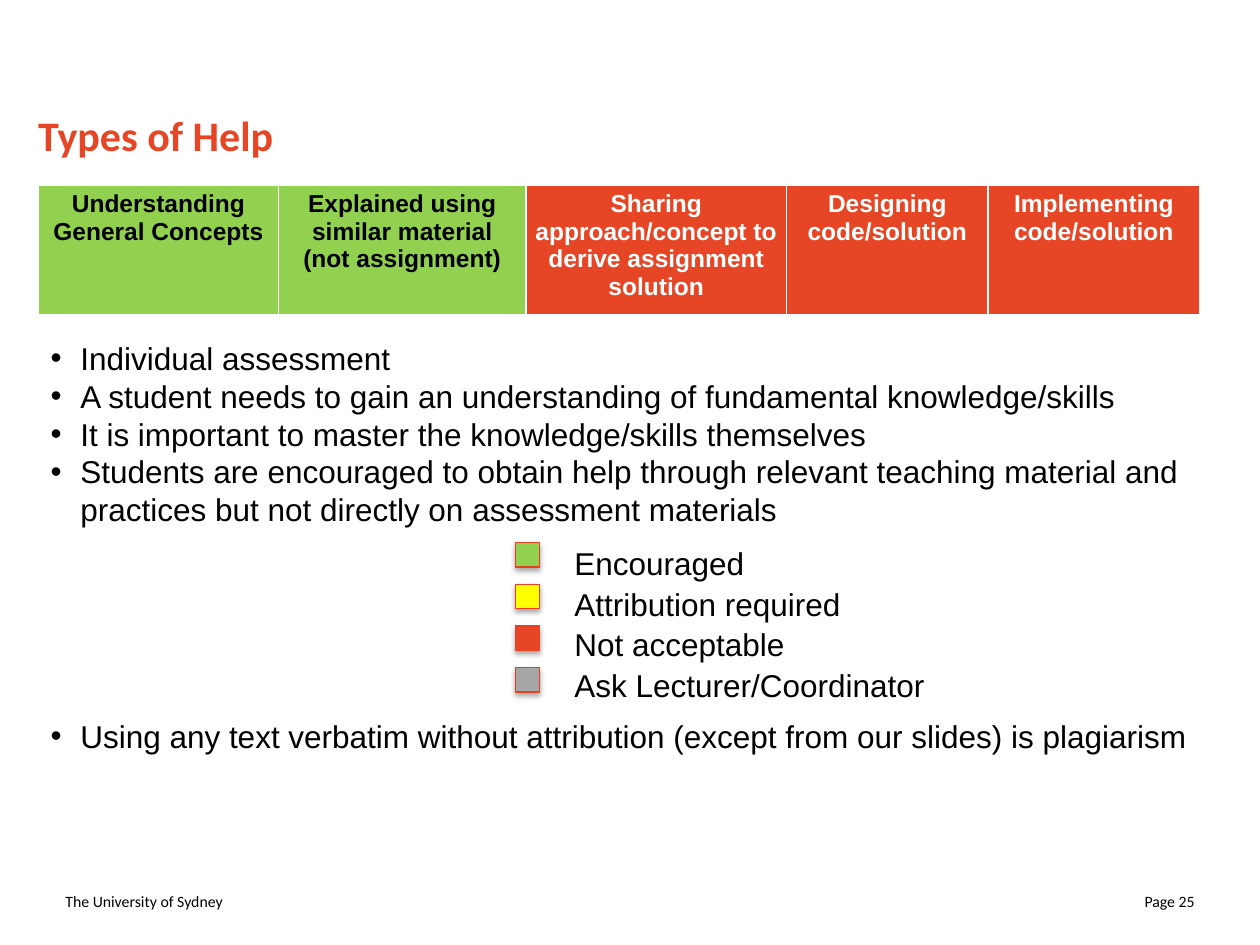
from dataclasses import dataclass

from lxml.etree import SubElement
from pptx import Presentation
from pptx.dml.color import RGBColor
from pptx.enum.shapes import MSO_SHAPE
from pptx.enum.text import MSO_ANCHOR, PP_ALIGN
from pptx.oxml.ns import qn
from pptx.util import Cm, Pt


@dataclass(frozen=True)
class Theme:
    """Colours, fonts and type sizes of the slide."""
    red: str = "E64626"
    outline: str = "E64120"
    green: str = "92D050"
    yellow: str = "FFFF00"
    grey: str = "A6A6A6"
    black: str = "000000"
    white: str = "FFFFFF"
    heading_font: str = "Calibri"
    body_font: str = "Arial"
    title_size: float = 24
    body_size: float = 18
    body_line: float = 21.6
    table_size: float = 14
    footer_size: float = 9


THEME = Theme()

HELP_TYPES = [
    ("Understanding General Concepts", 4.85, THEME.green, THEME.black),
    ("Explained using similar material (not assignment)", 4.98, THEME.green, THEME.black),
    ("Sharing approach/concept to derive assignment solution", 5.26, THEME.red, THEME.white),
    ("Designing code/solution", 4.06, THEME.red, THEME.white),
    ("Implementing code/solution", 4.27, THEME.red, THEME.white),
]
RULES = [
    "Individual assessment",
    "A student needs to gain an understanding of fundamental knowledge/skills",
    "It is important to master the knowledge/skills themselves",
    "Students are encouraged to obtain help through relevant teaching material and "
    "practices but not directly on assessment materials",
    "Using any text verbatim without attribution (except from our slides) is plagiarism",
]
LEGEND = [
    ("Encouraged", THEME.green),
    ("Attribution required", THEME.yellow),
    ("Not acceptable", THEME.red),
    ("Ask Lecturer/Coordinator", THEME.grey),
]


def rgb(colour):
    """Turn a hex string into a colour."""
    return RGBColor.from_string(colour)


def style(paragraph, font_name, size, colour=THEME.black, bold=False):
    """Set the font of a whole paragraph."""
    font = paragraph.font
    font.name, font.size, font.bold = font_name, Pt(size), bold
    font.color.rgb = rgb(colour)


def add_text(shapes, text, left, top, width, height):
    """Add a wrapping text box and return its frame."""
    frame = shapes.add_textbox(Cm(left), Cm(top), Cm(width), Cm(height)).text_frame
    frame.word_wrap = True
    frame.text = text
    return frame


def add_title(slide, left, top, width, height):
    """Place the slide title without insets."""
    frame = add_text(slide.shapes, "Types of Help", left, top, width, height)
    frame.margin_left = frame.margin_right = frame.margin_top = frame.margin_bottom = 0
    style(frame.paragraphs[0], THEME.heading_font, THEME.title_size, THEME.red, True)


def add_border(cell, side, width):
    """Draw a white border on one side of a table cell."""
    line = SubElement(cell._tc.get_or_add_tcPr(), qn(f"a:{side}"), w=str(Pt(width)))
    fill = SubElement(line, qn("a:solidFill"))
    SubElement(fill, qn("a:srgbClr"), val=THEME.white)


def add_help_table(slide, left, top, width, height):
    """Place the one-row table of help types."""
    table = slide.shapes.add_table(
        1, len(HELP_TYPES), Cm(left), Cm(top), Cm(width), Cm(height)).table
    for index, (label, column_width, fill, colour) in enumerate(HELP_TYPES):
        table.columns[index].width = Cm(column_width)
        cell = table.cell(0, index)
        cell.text = label
        cell.margin_left = cell.margin_right = Cm(0.18)
        cell.margin_top = cell.margin_bottom = Cm(0.1)
        for side, weight in (("lnL", 1), ("lnR", 1), ("lnT", 1), ("lnB", 3)):
            add_border(cell, side, weight)
        cell.fill.solid()
        cell.fill.fore_color.rgb = rgb(fill)
        paragraph = cell.text_frame.paragraphs[0]
        paragraph.alignment = PP_ALIGN.CENTER
        style(paragraph, THEME.body_font, THEME.table_size, colour, True)


def add_rules(slide, left, top, width, height):
    """Place the bulleted rules, leaving five lines for the legend before the last."""
    frame = add_text(slide.shapes, "\n".join(RULES), left, top, width, height)
    for paragraph in frame.paragraphs:
        properties = paragraph._p.get_or_add_pPr()
        properties.set("marL", str(Cm(0.6)))
        properties.set("indent", str(-Cm(0.6)))
        SubElement(properties, qn("a:buFont"), typeface=THEME.body_font)
        SubElement(properties, qn("a:buChar"), char="•")
        paragraph.line_spacing = Pt(THEME.body_line)
        style(paragraph, THEME.body_font, THEME.body_size)
    frame.paragraphs[-1].space_before = Pt(5 * THEME.body_line)


def add_soft_shadow(shape):
    """Give a shape a faint shadow below it."""
    shape.shadow.inherit = False
    effects = shape._element.spPr.find(qn("a:effectLst"))
    shadow = SubElement(effects, qn("a:outerShdw"), blurRad=str(Pt(3.1)),
                        dist=str(Pt(1.8)), dir="5400000", rotWithShape="0")
    colour = SubElement(shadow, qn("a:srgbClr"), val=THEME.black)
    SubElement(colour, qn("a:alpha"), val="35000")


def add_legend(slide, left, top, width):
    """Place the colour key as a group of swatches and labels."""
    shapes = slide.shapes.add_group_shape().shapes
    for index, (label, fill) in enumerate(LEGEND):
        swatch = shapes.add_shape(MSO_SHAPE.RECTANGLE, Cm(left), Cm(top + 0.1 + 0.84 * index),
                                  Cm(0.49), Cm(0.49))
        swatch.fill.solid()
        swatch.fill.fore_color.rgb = rgb(fill)
        swatch.line.color.rgb = rgb(THEME.outline)
        swatch.line.width = Pt(0.75)
        add_soft_shadow(swatch)
        frame = add_text(shapes, label, left + 0.94, top + 0.82 * index, width - 0.94, 1.02)
        paragraph = frame.paragraphs[0]
        paragraph.line_spacing = Pt(THEME.body_line)
        style(paragraph, THEME.body_font, THEME.body_size)


def add_footer(slide, left, top, width, height):
    """Place the institution at the left and the page number at the right."""
    part_width = 5.92
    for text, part_left, alignment in (
            ("The University of Sydney", left, PP_ALIGN.LEFT),
            ("Page 25", left + width - part_width, PP_ALIGN.RIGHT)):
        frame = add_text(slide.shapes, text, part_left, top, part_width, height)
        frame.vertical_anchor = MSO_ANCHOR.MIDDLE
        paragraph = frame.paragraphs[0]
        paragraph.alignment = alignment
        style(paragraph, THEME.heading_font, THEME.footer_size)


def main():
    """Build the slide and save it."""
    presentation = Presentation()
    presentation.slide_width, presentation.slide_height = Cm(25.4), Cm(19.05)
    slide = presentation.slides.add_slide(presentation.slide_layouts[6])
    add_footer(slide, 1.07, 17.65, 23.26, 1.02)
    add_help_table(slide, 0.77, 3.74, 23.42, 2.64)
    add_title(slide, 0.77, 2.21, 23.42, 1.35)
    add_rules(slide, 0.77, 6.71, 23.85, 8.71)
    add_legend(slide, 10.39, 10.84, 12.6)
    presentation.save("out.pptx")


if __name__ == "__main__":
    main()
